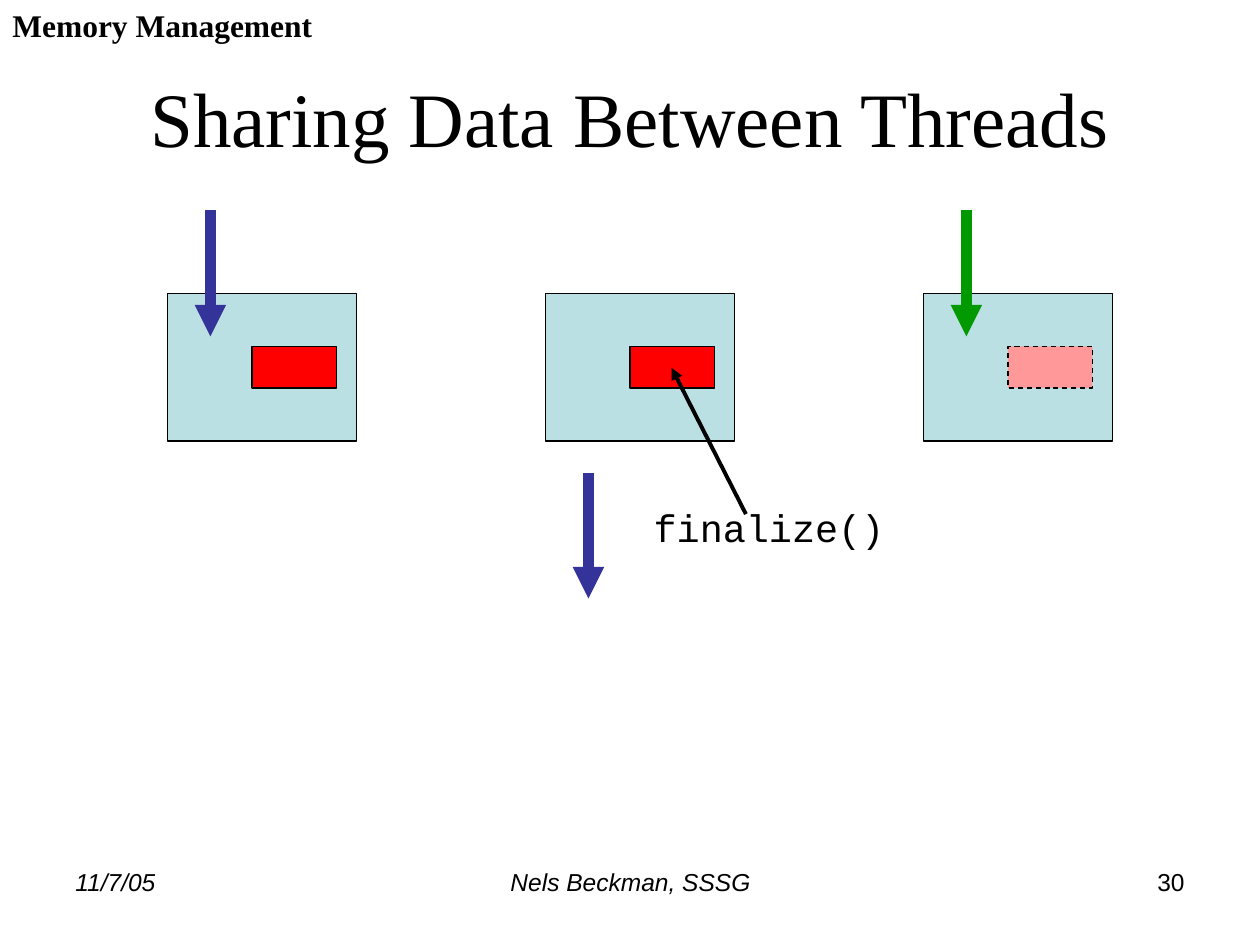
from dataclasses import dataclass
from typing import Optional

from lxml.etree import SubElement
from pptx import Presentation
from pptx.dml.color import RGBColor
from pptx.enum.dml import MSO_LINE
from pptx.enum.shapes import MSO_CONNECTOR, MSO_SHAPE
from pptx.enum.text import MSO_ANCHOR, PP_ALIGN
from pptx.oxml.ns import qn
from pptx.util import Inches, Pt


@dataclass(frozen=True)
class Theme:
    ink: str = "000000"
    heap: str = "BBE0E3"
    live: str = "FF0000"
    dead: str = "FF9999"
    blue: str = "333399"
    green: str = "009900"
    serif: str = "Times New Roman"
    sans: str = "Arial"
    mono: str = "Courier New"
    title: float = 44
    code: float = 22
    head: float = 18
    foot: float = 14
    edge: float = 0.75
    thread: float = 6
    call: float = 2.25


THEME = Theme()


@dataclass(frozen=True)
class Stage:
    """One moment: a heap with a data cell and a thread arrow."""
    left: float
    start: float
    thread: str
    cell: str
    dash: bool = False


@dataclass(frozen=True)
class Label:
    text: str
    left: float
    top: float
    width: float
    height: float
    font: str
    size: float
    align: PP_ALIGN = PP_ALIGN.LEFT
    anchor: MSO_ANCHOR = MSO_ANCHOR.TOP
    bold: bool = False
    italic: bool = False
    wrap: bool = True


FIRST, STEP = 1.33, 3
STAGES = [
    Stage(FIRST, 1.67, THEME.blue, THEME.live),
    Stage(FIRST + STEP, 3.75, THEME.blue, THEME.live),
    Stage(FIRST + 2 * STEP, 1.67, THEME.green, THEME.dead, dash=True),
]

FOOT = 6.83
LABELS = [
    Label("Sharing Data Between Threads", 0.5, 0.3, 9, 1.25, THEME.serif,
          THEME.title, PP_ALIGN.CENTER, MSO_ANCHOR.MIDDLE),
    Label("finalize()", 5.09, 3.95, 2.03, 0.47, THEME.mono, THEME.code,
          wrap=False),
    Label("Memory Management", 0, 0, 2.58, 0.7, THEME.serif, THEME.head,
          bold=True, wrap=False),
    Label("11/7/05", 0.5, FOOT, 2.33, 0.52, THEME.sans, THEME.foot,
          italic=True),
    Label("Nels Beckman, SSSG", 3.42, FOOT, 3.17, 0.52, THEME.sans,
          THEME.foot, PP_ALIGN.CENTER, italic=True),
    Label("30", 7.17, FOOT, 2.33, 0.52, THEME.sans, THEME.foot,
          PP_ALIGN.RIGHT),
]


def color(code: str) -> RGBColor:
    return RGBColor.from_string(code)


def add_box(slide, left: float, top: float, width: float, height: float,
            fill: str, dash: Optional[MSO_LINE] = None) -> None:
    box = slide.shapes.add_shape(MSO_SHAPE.RECTANGLE, Inches(left),
                                 Inches(top), Inches(width), Inches(height))
    box.shadow.inherit = False
    box.fill.solid()
    box.fill.fore_color.rgb = color(fill)
    box.line.color.rgb = color(THEME.ink)
    box.line.width = Pt(THEME.edge)
    if dash:
        box.line.dash_style = dash


def add_arrow(slide, start: tuple[float, float], end: tuple[float, float],
              ink: str, width: float) -> None:
    arrow = slide.shapes.add_connector(
        MSO_CONNECTOR.STRAIGHT, *(Inches(n) for n in (*start, *end)))
    arrow.line.color.rgb = color(ink)
    arrow.line.width = Pt(width)
    SubElement(arrow.line._get_or_add_ln(), qn("a:tailEnd"), type="triangle")
    SubElement(arrow._element.spPr, qn("a:effectLst"))


def add_stage(slide, stage: Stage) -> None:
    add_box(slide, stage.left, 2.33, 1.5, 1.17, THEME.heap)
    x = stage.left + 0.34
    add_arrow(slide, (x, stage.start), (x, stage.start + 1),
              stage.thread, THEME.thread)
    add_box(slide, stage.left + 0.67, 2.75, 0.67, 0.33, stage.cell,
            MSO_LINE.DASH if stage.dash else None)


def add_label(slide, label: Label) -> None:
    box = slide.shapes.add_textbox(Inches(label.left), Inches(label.top),
                                   Inches(label.width), Inches(label.height))
    frame = box.text_frame
    frame.word_wrap = label.wrap
    frame.vertical_anchor = label.anchor
    para = frame.paragraphs[0]
    para.alignment = label.align
    run = para.add_run()
    run.text = label.text
    font = run.font
    font.name = label.font
    font.size = Pt(label.size)
    font.bold = label.bold
    font.italic = label.italic
    font.color.rgb = color(THEME.ink)


def main() -> None:
    deck = Presentation()
    deck.slide_width, deck.slide_height = Inches(10), Inches(7.5)
    slide = deck.slides.add_slide(deck.slide_layouts[6])
    for stage in STAGES:
        add_stage(slide, stage)
    add_arrow(slide, (5.92, 4.08), (5.33, 2.92), THEME.ink, THEME.call)
    for label in LABELS:
        add_label(slide, label)
    deck.save("out.pptx")


if __name__ == "__main__":
    main()
